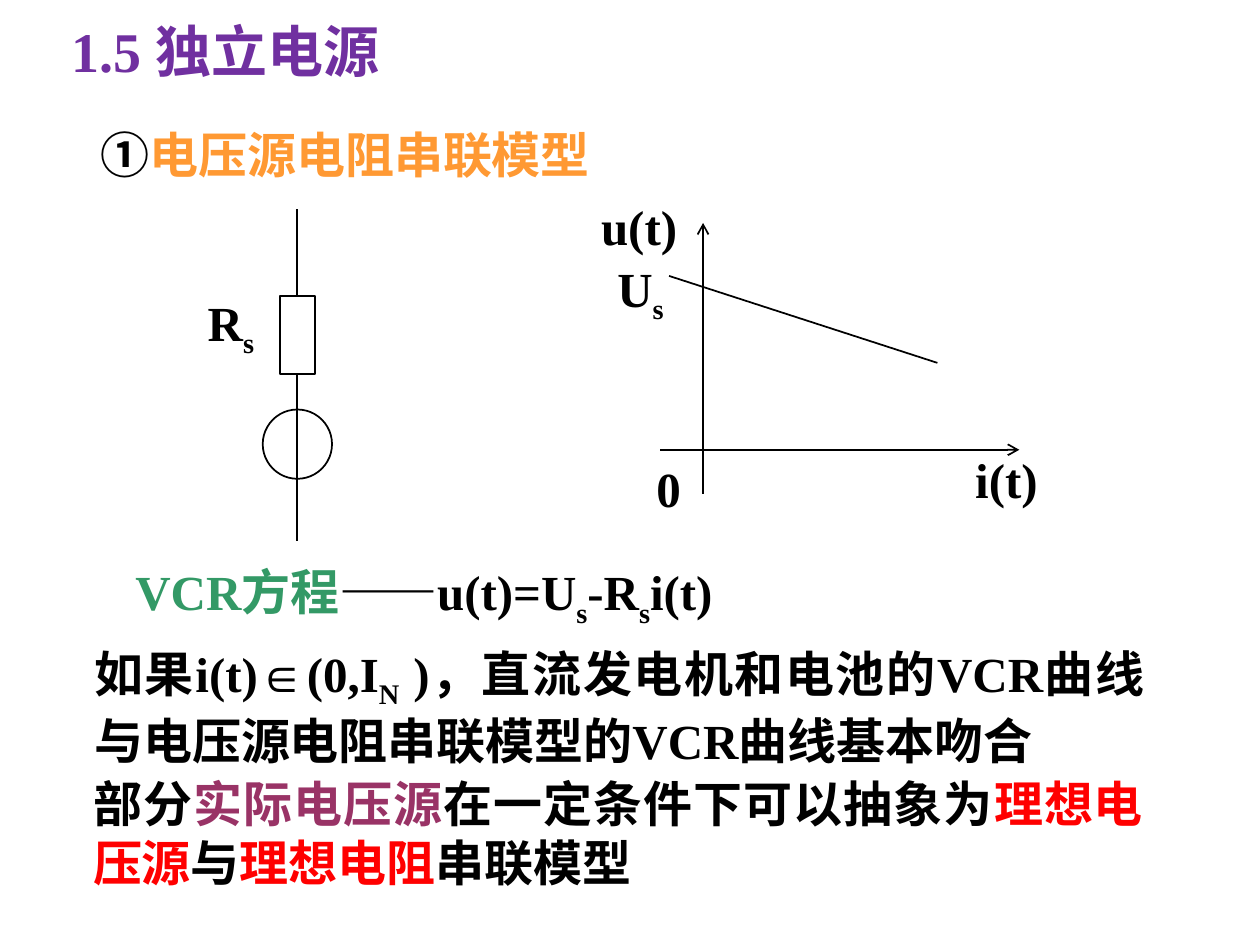
from pptx import Presentation
from pptx.dml.color import RGBColor
from pptx.enum import shapes, text
from pptx.oxml.ns import qn
from pptx import util as u
from lxml import etree

PX = 9144  # 100 px to the inch
FONT = "Times New Roman"
BLACK, GREEN, ORANGE = "000000", "339966", "FF9933"
PLUM, RED, PURPLE = "993366", "FF0000", "7030A0"
JUSTIFY, CENTER = text.PP_ALIGN.JUSTIFY, text.PP_ALIGN.CENTER

# Content: a run is (text, colour) or (text, colour, "sub")
TITLE = ((47, -23, 613, 125), [("1.5 独立电源", PURPLE)])

GRAPH_LABELS = [
    ((521, 364, 52, 47), [("0", BLACK)]),
    ((477, 156, 71, 47), [("u(t)", BLACK)]),
    ((774, 357, 60, 47), [("i(t)", BLACK)]),
    ((490, 205, 68, 47), [("U", BLACK), ("s", BLACK, "sub")]),
]

PARAGRAPHS = [
    ((70, 94, 535, 57), JUSTIFY, [("①", BLACK), ("电压源电阻串联模型", ORANGE)]),
    ((155, 227, 78, 56), JUSTIFY, [("R", BLACK), ("s", BLACK, "sub")]),
    ((70, 441, 533, 57), CENTER, [
        ("VCR方程", GREEN), ("——u(t)=U", BLACK), ("s", BLACK, "sub"),
        ("-R", BLACK), ("s", BLACK, "sub"), ("i(t)", BLACK)]),
    ((65, 506, 853, 103), JUSTIFY, [
        ("如果i(t)∈(0,I", BLACK), ("N", BLACK, "sub"),
        (" )，直流发电机和电池的VCR曲线与电压源电阻串联模型的VCR曲线基本吻合", BLACK)]),
    ((64, 609, 853, 104), JUSTIFY, [
        ("部分", BLACK), ("实际电压源", PLUM), ("在一定条件下可以抽象为", BLACK),
        ("理想电压源", RED), ("与", BLACK), ("理想电阻", RED), ("串联模型", BLACK)]),
]

# Graph lines: start, end, arrowhead
GRAPH_LINES = [
    ((558, 392), (558, 177), True),
    ((524, 357), (809, 357), True),
    ((531, 219), (744, 288), False),
]

# Circuit, centred on one vertical wire
WIRE_X, WIRE_TOP, WIRE_BOTTOM = 236, 166, 429
RESISTOR_TOP, RESISTOR_WIDTH, RESISTOR_HEIGHT = 235, 28, 62
SOURCE_TOP, SOURCE_SIZE = 325, 55


def px(*values):
    return [u.Emu(value * PX) for value in values]


def color(hex_string):
    return RGBColor.from_string(hex_string)


def write(frame, runs, size, align):
    paragraph = frame.paragraphs[0]
    paragraph.alignment = align
    for content, fill, *sub in runs:
        run = paragraph.add_run()
        run.text = content
        run.font.name, run.font.size, run.font.bold = FONT, u.Pt(size), True
        run.font.color.rgb = color(fill)
        if sub:
            run._r.get_or_add_rPr().set("baseline", "-25000")


def add_text(slide, box, runs, align=JUSTIFY, inset=True):
    frame = slide.shapes.add_textbox(*px(*box)).text_frame
    frame.word_wrap = True
    if not inset:
        frame.margin_left = frame.margin_right = 0
        frame.margin_top = frame.margin_bottom = 0
    write(frame, runs, 28, align)


def add_line(slide, start, end, arrow=False):
    line = slide.shapes.add_connector(
        shapes.MSO_CONNECTOR.STRAIGHT, *px(*start, *end))
    line.line.color.rgb = color(BLACK)
    line.line.width = u.Pt(1)
    if arrow:
        outline = line.line._get_or_add_ln()
        etree.SubElement(outline, qn("a:tailEnd"), type="arrow")
    etree.SubElement(line._element.spPr, qn("a:effectLst"))
    return line


def add_outline(slide, kind, top, width, height):
    shape = slide.shapes.add_shape(
        kind, *px(WIRE_X - width / 2, top, width, height))
    shape.shadow.inherit = False
    shape.fill.background()
    shape.line.color.rgb = color(BLACK)
    shape.line.width = u.Pt(1)
    return shape


def main():
    presentation = Presentation()
    presentation.slide_width, presentation.slide_height = px(1000, 750)
    slide = presentation.slides.add_slide(presentation.slide_layouts[5])

    # Title
    box, runs = TITLE
    title = slide.shapes.title
    title.left, title.top, title.width, title.height = px(*box)
    title.text_frame.auto_size = text.MSO_AUTO_SIZE.NONE
    title.text_frame.vertical_anchor = text.MSO_ANCHOR.MIDDLE
    write(title.text_frame, runs, 32, text.PP_ALIGN.LEFT)

    # Voltage-current graph
    for box, runs in GRAPH_LABELS:
        add_text(slide, box, runs, inset=False)
    for start, end, arrow in GRAPH_LINES:
        add_line(slide, start, end, arrow)

    # Source and resistor in series
    resistor_bottom = RESISTOR_TOP + RESISTOR_HEIGHT
    add_outline(slide, shapes.MSO_SHAPE.OVAL, SOURCE_TOP, SOURCE_SIZE, SOURCE_SIZE)
    resistor = add_outline(slide, shapes.MSO_SHAPE.RECTANGLE, RESISTOR_TOP,
                           RESISTOR_WIDTH, RESISTOR_HEIGHT)
    upper = add_line(slide, (WIRE_X, RESISTOR_TOP), (WIRE_X, WIRE_TOP))
    upper.begin_connect(resistor, 0)
    lower = add_line(slide, (WIRE_X, resistor_bottom), (WIRE_X, WIRE_BOTTOM))
    lower.begin_connect(resistor, 2)

    # Heading, resistor label, equation and conclusions
    for box, align, runs in PARAGRAPHS:
        add_text(slide, box, runs, align)

    presentation.save("out.pptx")


if __name__ == "__main__":
    main()
